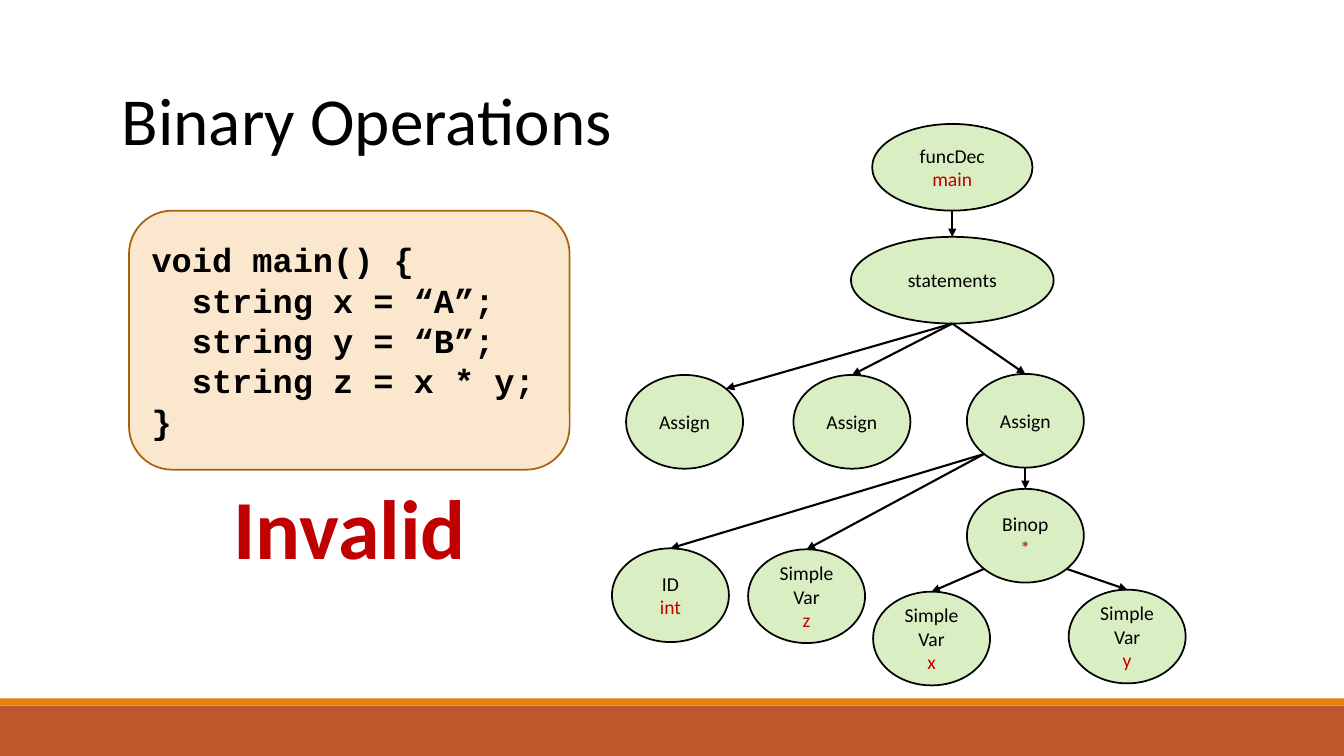
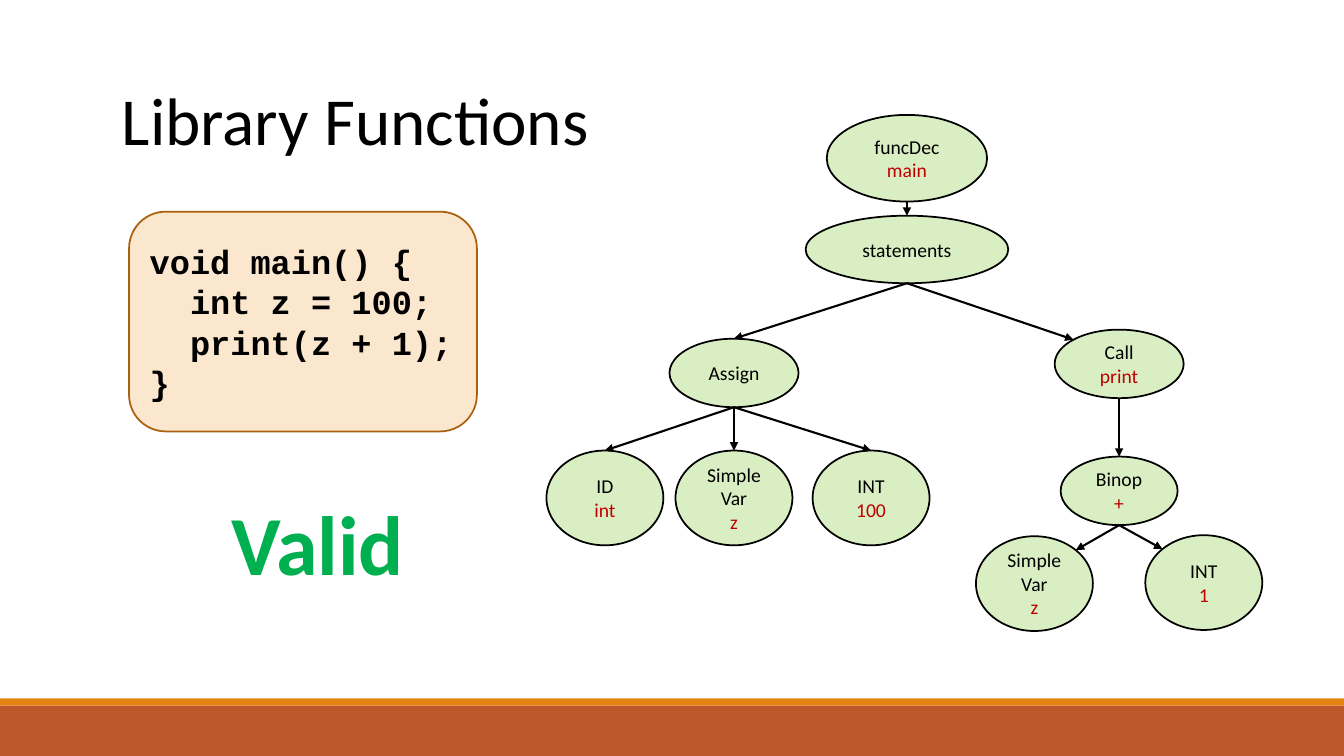
"""Build two slides that check small programs against their syntax trees."""
import pptx
import pptx.util
import pptx.dml.color
import pptx.enum.shapes
import pptx.enum.text
import pptx.oxml
import pptx.oxml.ns

Inches, Pt = pptx.util.Inches, pptx.util.Pt
RGB = pptx.dml.color.RGBColor.from_string
KIND = pptx.enum.shapes.MSO_SHAPE
ALIGN = pptx.enum.text.PP_ALIGN
NS = pptx.oxml.ns.nsdecls("a")

HUES = {
    "black": "000000", "red": "C00000", "green": "00B050", "leaf": "92D050",
    "sand": "FBE6CE", "brown": "A9610D", "rust": "BD582C", "orange": "E48312",
}
BANDS = [(7, 0.5, "rust"), (6.93, 0.07, "orange")]

NEAR = 0.5 - 0.125 ** 0.5
FAR = 1 - NEAR
SITES = {
    "top": (0.5, 0), "base": (0.5, 1), "top left": (NEAR, NEAR),
    "top right": (FAR, NEAR), "base left": (NEAR, FAR), "base right": (FAR, FAR),
}

SLIDES = [
    {
        "title": "Binary Operations",
        "code": ["void main() {", "  string x = “A”;", "  string y = “B”;",
                 "  string z = x * y;", "}"],
        "panel": (1.28, 2.09, 4.37, 2.57),
        "verdict": ("Invalid", "red", 1.94, 4.67),
        "nodes": {
            "func": (["funcDec"], "main", 8.65, 1.23, 1.59, 0.86),
            "body": (["statements"], None, 8.44, 2.35, 2.01, 0.86),
            "set x": (["Assign"], None, 6.21, 3.72, 1.16, 0.93),
            "set y": (["Assign"], None, 7.87, 3.72, 1.16, 0.93),
            "set z": (["Assign"], None, 9.59, 3.71, 1.16, 0.93),
            "type": (["ID"], "int", 6.07, 5.44, 1.16, 0.93),
            "var z": (["Simple", "Var"], "z", 7.42, 5.45, 1.16, 0.93),
            "binop": (["Binop"], "*", 9.59, 4.85, 1.16, 0.93),
            "var x": (["Simple", "Var"], "x", 8.66, 5.87, 1.16, 0.93),
            "var y": (["Simple", "Var"], "y", 10.6, 5.85, 1.16, 0.93),
        },
        "edges": [
            ("func", "base", "body", "top"),
            ("body", "base", "set x", "top right"),
            ("body", "base", "set y", "top"),
            ("body", "base", "set z", "top"),
            ("set z", "base left", "type", "top"),
            ("set z", "base left", "var z", "top"),
            ("set z", "base", "binop", "top"),
            ("binop", "base left", "var x", "top"),
            ("binop", "base right", "var y", "top"),
        ],
    },
    {
        "title": "Library Functions",
        "code": ["void main() {", "  int z = 100;", "  print(z + 1);", "}"],
        "panel": (1.28, 2.1, 3.45, 2.18),
        "verdict": ("Valid", "green", 1.62, 4.83),
        "nodes": {
            "func": (["funcDec"], "main", 8.2, 1.14, 1.59, 0.86),
            "body": (["statements"], None, 7.99, 2.14, 2.01, 0.67),
            "set z": (["Assign"], None, 6.64, 3.36, 1.28, 0.68),
            "call": (["Call"], "print", 10.46, 3.27, 1.28, 0.68),
            "type": (["ID"], "int", 5.42, 4.47, 1.16, 0.94),
            "var z": (["Simple", "Var"], "z", 6.7, 4.47, 1.16, 0.94),
            "int 100": (["INT"], "100", 8.06, 4.47, 1.16, 0.94),
            "binop": (["Binop"], "+", 10.52, 4.53, 1.16, 0.68),
            "arg z": (["Simple", "Var"], "z", 9.68, 5.32, 1.16, 0.94),
            "int 1": (["INT"], "1", 11.36, 5.31, 1.16, 0.94),
        },
        "edges": [
            ("func", "base", "body", "top"),
            ("body", "base", "set z", "top"),
            ("body", "base", "call", "top left"),
            ("set z", "base", "type", "top"),
            ("set z", "base", "var z", "top"),
            ("set z", "base", "int 100", "top"),
            ("call", "base", "binop", "top"),
            ("binop", "base", "arg z", "top right"),
            ("binop", "base", "int 1", "top left"),
        ],
    },
]


def draw(slide, kind, box, fill, line=None):
    """Add a preset shape, outlined only if a line colour is given."""
    shape = slide.shapes.add_shape(kind, *map(Inches, box))
    shape.shadow.inherit = False
    shape.fill.solid()
    shape.fill.fore_color.rgb = RGB(HUES[fill])
    if line:
        shape.line.color.rgb = RGB(HUES[line])
        shape.line.width = Pt(1.25)
    else:
        shape.line.fill.background()
    return shape


def write(shape, lines, size, align=ALIGN.CENTER, face="Calibri", bold=False):
    """Write one paragraph for each (text, colour) pair."""
    frame = shape.text_frame
    frame.word_wrap = True
    for i, (text, hue) in enumerate(lines):
        para = frame.add_paragraph() if i else frame.paragraphs[0]
        para.alignment = align
        run = para.add_run()
        run.text = text
        run.font.name = face
        run.font.size = Pt(size)
        run.font.bold = bold
        run.font.color.rgb = RGB(HUES[hue])


deck = pptx.Presentation()
deck.slide_width, deck.slide_height = Inches(13.33), Inches(7.5)

for page in SLIDES:
    slide = deck.slides.add_slide(deck.slide_layouts[6])
    for top, high, hue in BANDS:
        draw(slide, KIND.RECTANGLE, (0, top, 13.33, high), hue)

    title = slide.shapes.add_textbox(*map(Inches, (1.11, 0.73, 11.09, 0.91)))
    write(title, [(page["title"], "black")], 48, ALIGN.LEFT)

    word, hue, left, top = page["verdict"]
    label = slide.shapes.add_textbox(*map(Inches, (left, top, 3.06, 1.11)))
    write(label, [(word, hue)], 60, bold=True)

    panel = draw(slide, KIND.ROUNDED_RECTANGLE, page["panel"], "sand", "brown")
    write(panel, [(text, "black") for text in page["code"]], 24, ALIGN.LEFT,
          "Courier New", True)

    ovals = {}
    for name, (words, value, *box) in page["nodes"].items():
        oval = draw(slide, KIND.OVAL, box, "leaf", "black")
        tint = oval.fill._xPr.find(".//" + pptx.oxml.ns.qn("a:srgbClr"))
        tint.append(pptx.oxml.parse_xml(f'<a:alpha {NS} val="34000"/>'))
        lines = [(text, "black") for text in words]
        if value:
            lines.append((value, "red"))
        write(oval, lines, 14)
        ovals[name] = oval

    for start, leave, end, enter in page["edges"]:
        ends = []
        for name, site in ((start, leave), (end, enter)):
            oval, (across, down) = ovals[name], SITES[site]
            ends += [int(oval.left + across * oval.width),
                     int(oval.top + down * oval.height)]
        arrow = slide.shapes.add_connector(
            pptx.enum.shapes.MSO_CONNECTOR.STRAIGHT, *ends)
        if enter == "top":
            arrow.end_connect(ovals[end], 0)
        arrow.line.color.rgb = RGB(HUES["black"])
        arrow.line.width = Pt(1.5)
        arrow.line._get_or_add_ln().append(
            pptx.oxml.parse_xml(f'<a:tailEnd {NS} type="triangle"/>'))
        arrow._element.spPr.append(pptx.oxml.parse_xml(f"<a:effectLst {NS}/>"))

deck.save("out.pptx")
